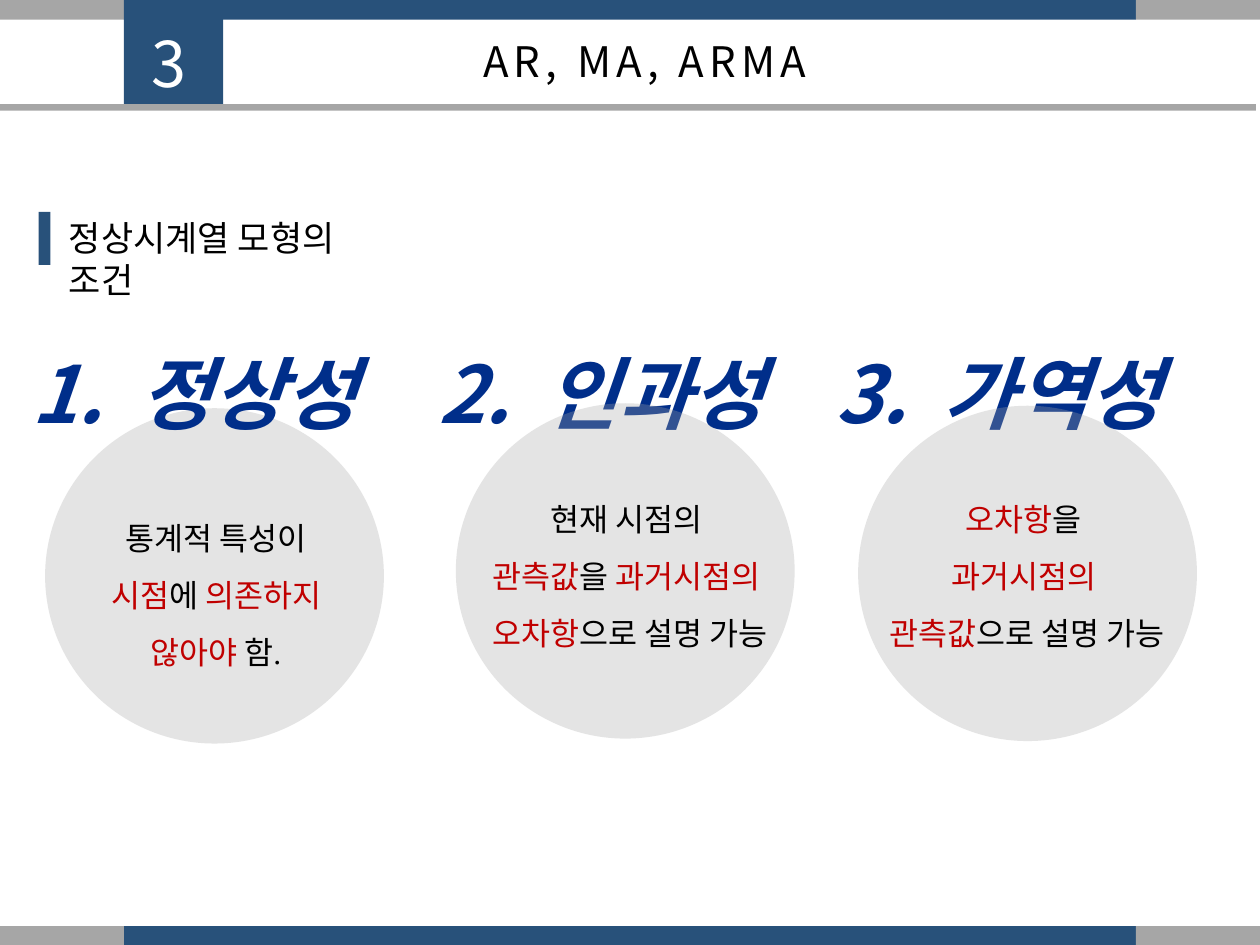
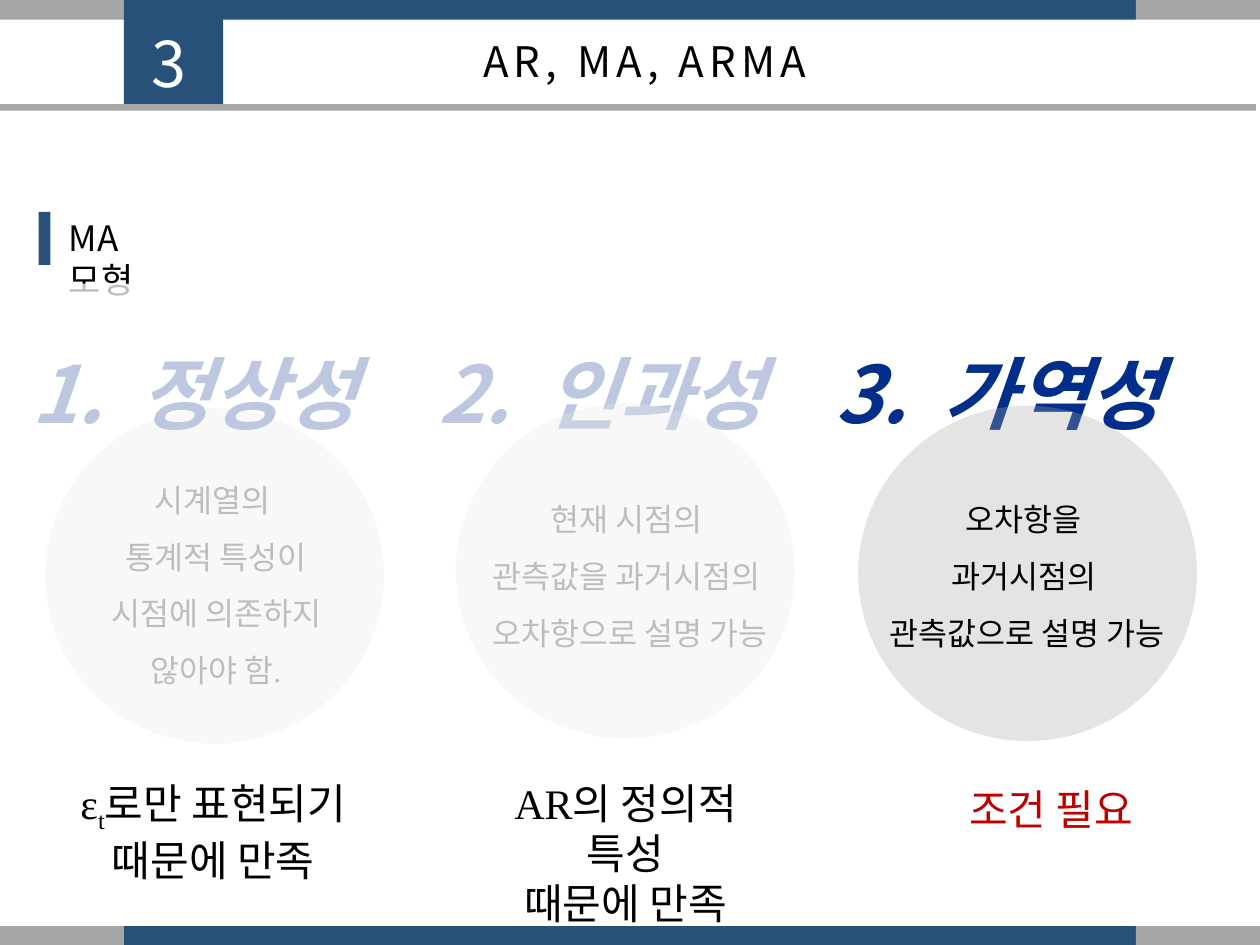
from pptx import Presentation
from pptx.dml.color import RGBColor
from pptx.enum.shapes import MSO_SHAPE
from pptx.enum.text import MSO_ANCHOR, PP_ALIGN
from pptx.oxml.ns import qn
from pptx.util import Cm, Pt
from lxml.etree import SubElement

NAVY = RGBColor(0x28, 0x51, 0x7A)
GREY = RGBColor(0xA6, 0xA6, 0xA6)
ROYAL = RGBColor(0x00, 0x2E, 0x8A)
RED = RGBColor(0xC0, 0x00, 0x00)
BLACK = RGBColor(0x00, 0x00, 0x00)
WHITE = RGBColor(0xFF, 0xFF, 0xFF)
SANS = "Noto Sans CJK KR"
SERIF = "Times New Roman"

PAGE_WIDTH, PAGE_HEIGHT = 25.4, 19.05
BAND_HEIGHT = 0.4
SIDE_WIDTH = 2.5
CIRCLE_WIDTH, CIRCLE_HEIGHT = 6.83, 6.76

# One entry per condition: positions in centimetres
CONDITIONS = [
    {"name": "정상성", "heading": 0.38, "circle": (0.91, 8.23), "text": (1.91, 4.9)},
    {"name": "인과성", "heading": 8.59, "circle": (9.19, 8.13), "text": (9.55, 6.3)},
    {"name": "가역성", "heading": 16.59, "circle": (17.3, 8.18), "text": (17.65, 6.12)},
]


def add_block(page, left, top, width, height, color, kind=MSO_SHAPE.RECTANGLE, opacity=100):
    """Add a plain filled shape without outline."""
    block = page.shapes.add_shape(kind, Cm(left), Cm(top), Cm(width), Cm(height))
    block.shadow.inherit = False
    block.line.fill.background()
    block.fill.solid()
    block.fill.fore_color.rgb = color
    if opacity < 100:
        tint = block.fill._xPr.find(qn("a:solidFill"))[0]
        SubElement(tint, qn("a:alpha")).set("val", str(opacity * 1000))
    return block


def add_span(para, text, size=18, color=BLACK, font=SANS, bold=False, italic=False,
             spacing=0, baseline=0):
    """Add formatted text to a paragraph."""
    span = para.add_run()
    span.text = text
    span.font.size = Pt(size)
    span.font.name = font
    span.font.bold = bold
    span.font.italic = italic
    span.font.color.rgb = color
    properties = span.font._element
    SubElement(properties, qn("a:ea")).set("typeface", SANS)
    if spacing:
        properties.set("spc", str(spacing * 100))
    if baseline:
        properties.set("baseline", str(baseline * 1000))


def add_box(page, left, top, width, height):
    """Add an empty wrapping text box and return its frame."""
    box = page.shapes.add_textbox(Cm(left), Cm(top), Cm(width), Cm(height))
    box.text_frame.word_wrap = True
    return box.text_frame


def write_lines(frame, lines, line_spacing=1.0, align=PP_ALIGN.CENTER, **style):
    """Write one paragraph per line; parts between asterisks are red."""
    for index, line in enumerate(lines):
        para = frame.paragraphs[0] if index == 0 else frame.add_paragraph()
        para.alignment = align
        para.line_spacing = line_spacing
        for part, text in enumerate(line.split("*")):
            if text:
                add_span(para, text, **(style | {"color": RED} if part % 2 else style))


def add_bands(page):
    """Draw the three-part bands along the top and bottom edges."""
    for top in (0, PAGE_HEIGHT - BAND_HEIGHT + 0.02):
        add_block(page, SIDE_WIDTH, top, PAGE_WIDTH - 2 * SIDE_WIDTH, BAND_HEIGHT, NAVY)
        for left in (0, PAGE_WIDTH - SIDE_WIDTH):
            add_block(page, left, top, SIDE_WIDTH, BAND_HEIGHT, GREY)


def add_page(deck, section):
    """Add a page with bands, chapter number, title and section label."""
    page = deck.slides.add_slide(deck.slide_layouts[5])
    add_bands(page)
    add_block(page, SIDE_WIDTH, 0, 2, 2.1, NAVY)
    add_block(page, 0, 2.1, 25.32, 0.13, GREY)
    write_lines(add_box(page, 2.31, 0.36, 2.2, 1.8), ["3"], size=36, color=WHITE, spacing=3)

    title = page.shapes.title
    title.left, title.top, title.width, title.height = Cm(7.7), Cm(0.58), Cm(10.6), Cm(1.27)
    title.text_frame.vertical_anchor = MSO_ANCHOR.TOP
    write_lines(title.text_frame, ["AR, MA, ARMA"], size=24, spacing=3)

    label, width = section
    add_block(page, 0.78, 4.27, 0.24, 1.07, NAVY)
    write_lines(add_box(page, 1.14, 4.24, width, 1.12), [label], size=20, align=PP_ALIGN.LEFT)
    return page


def add_circle(page, condition):
    add_block(page, *condition["circle"], CIRCLE_WIDTH, CIRCLE_HEIGHT, GREY,
              MSO_SHAPE.OVAL, opacity=30)


def add_heading(page, number, condition):
    """Write the numbered name, with a wide gap after the number."""
    para = add_box(page, condition["heading"], 6.83, 9.14, 2.95).paragraphs[0]
    style = {"size": 45, "color": ROYAL, "bold": True, "italic": True}
    add_span(para, f"{number}.", **style)
    add_span(para, " ", spacing=10, **style)
    add_span(para, condition["name"], **style)


def add_conditions(page, explanations):
    """Draw the three conditions, each explained in its circle."""
    add_circle(page, CONDITIONS[0])
    for number, condition in enumerate(CONDITIONS, 1):
        add_heading(page, number, condition)
    for condition in CONDITIONS[1:]:
        add_circle(page, condition)
    for condition, (top, lines) in zip(CONDITIONS, explanations):
        left, width = condition["text"]
        frame = add_box(page, left, top, width, 1.19 * len(lines))
        write_lines(frame, lines, line_spacing=1.5, font=SERIF)


def add_conclusions(page):
    """State below each circle whether the condition holds."""
    first = add_box(page, 1.14, 15.54, 6.32, 2.31).paragraphs[0]
    first.alignment = PP_ALIGN.CENTER
    for text, baseline in (("ε", 0), ("t", -25), ("로만 표현되기 때문에 만족", 0)):
        add_span(first, text, size=24, font=SERIF, baseline=baseline)
    write_lines(add_box(page, 9.45, 15.54, 6.32, 2.31),
                ["AR의 정의적 특성", "때문에 만족"], size=24, font=SERIF)
    write_lines(add_box(page, 18.03, 15.67, 6.32, 1.27), ["*조건 필요*"], size=24, font=SERIF)


def main():
    deck = Presentation()
    deck.slide_width, deck.slide_height = Cm(PAGE_WIDTH), Cm(PAGE_HEIGHT)

    # Conditions of stationary models
    page = add_page(deck, ("정상시계열 모형의 조건", 7.19))
    add_conditions(page, [
        (9.96, ["통계적 특성이", "*시점*에 *의존하지*", "* 않아야* 함. "]),
        (9.58, ["현재 시점의 ", "*관측값*을 *과거시점의 *", "*오차항*으로 설명 가능"]),
        (9.58, ["*오차항*을 ", "*과거시점의 *", "*관측값*으로 설명 가능"]),
    ])

    # MA model: the first two conditions are faded
    page = add_page(deck, ("MA모형", 2.7))
    add_conditions(page, [
        (9.19, ["시계열의 ", "통계적 특성이", "시점에 의존하지", " 않아야 함. "]),
        (9.58, ["현재 시점의 ", "관측값을 과거시점의 ", "오차항으로 설명 가능"]),
        (9.58, ["오차항을 ", "과거시점의 ", "관측값으로 설명 가능"]),
    ])
    add_conclusions(page)
    add_block(page, 0.46, 5.72, 15.6, 9.27, WHITE, opacity=74)

    deck.save("out.pptx")


if __name__ == "__main__":
    main()
